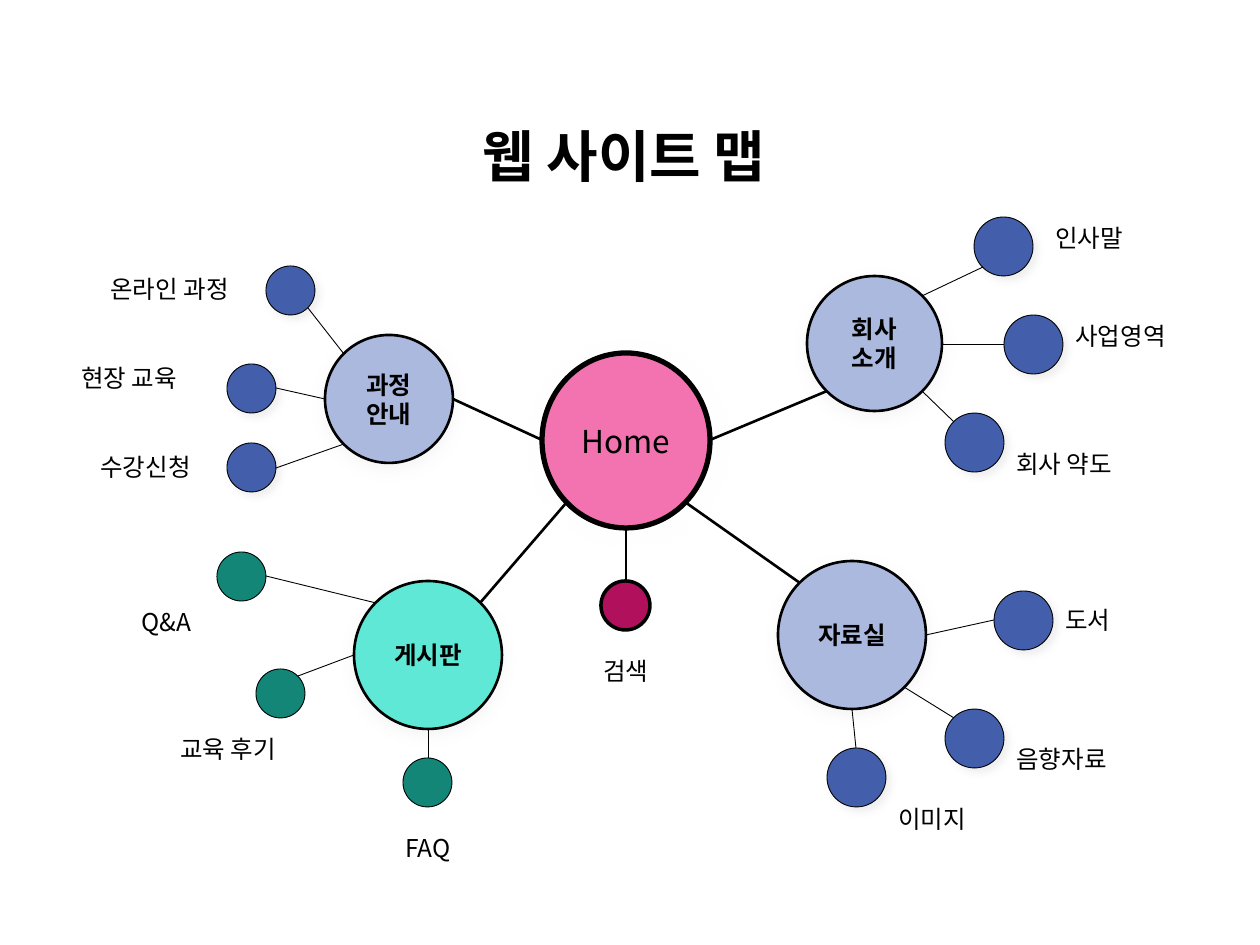
from dataclasses import dataclass
from enum import IntEnum
from math import cos, radians, sin

from lxml.etree import SubElement
from pptx import Presentation
from pptx.dml.color import RGBColor
from pptx.enum.shapes import MSO_CONNECTOR, MSO_SHAPE
from pptx.enum.text import MSO_ANCHOR, PP_ALIGN
from pptx.oxml.ns import qn
from pptx.util import Emu, Pt

EMU_PER_PX = 914400 / 126
FONT = "Noto Sans CJK KR"
BLACK = RGBColor(0x00, 0x00, 0x00)
WHITE = RGBColor(0xFF, 0xFF, 0xFF)
PINK = RGBColor(0xF2, 0x73, 0xAF)
CRIMSON = RGBColor(0xB0, 0x10, 0x5C)
LAVENDER = RGBColor(0xAB, 0xB9, 0xDE)
BLUE = RGBColor(0x43, 0x5E, 0xAA)
MINT = RGBColor(0x5F, 0xE8, 0xD6)
GREEN = RGBColor(0x13, 0x86, 0x77)
PALE_GREY = RGBColor(0xF2, 0xF2, 0xF2)
LIGHT_GREY = RGBColor(0xD9, 0xD9, 0xD9)
SMALL, LARGE = 49, 59
LABEL_WIDTH, LABEL_HEIGHT = 178, 43


class Site(IntEnum):
    """Angle on a circle's edge, clockwise from the right."""
    RIGHT = 0
    BOTTOM_RIGHT = 45
    BOTTOM = 90
    BOTTOM_LEFT = 135
    LEFT = 180
    TOP_LEFT = 225
    TOP = 270
    TOP_RIGHT = 315


@dataclass(frozen=True)
class Shadow:
    color: RGBColor
    opacity: int
    blur: int
    distance: int
    angle: int


HOME_SHADOW = Shadow(WHITE, 40, 10, 2, 45)
HUB_SHADOW = Shadow(PALE_GREY, 66, 7, 3, 90)
LEAF_SHADOW = Shadow(LIGHT_GREY, 40, 4, 3, 45)


@dataclass(frozen=True)
class Circle:
    left: int
    top: int
    width: int
    height: int
    fill: RGBColor
    line: float
    shadow: Shadow | None = None

    def point(self, site: Site) -> tuple[int, int]:
        angle = radians(site)
        return (round(self.left + self.width / 2 * (1 + cos(angle))),
                round(self.top + self.height / 2 * (1 + sin(angle))))


@dataclass(frozen=True)
class Leaf:
    label: str
    label_at: tuple[int, int]
    at: tuple[int, int]
    site: Site
    hub_site: Site


@dataclass(frozen=True)
class Hub:
    title: str
    at: tuple[int, int]
    size: int
    fill: RGBColor
    site: Site
    home_site: Site
    leaf_size: int
    leaf_fill: RGBColor
    leaf_shadow: Shadow | None
    leaves: tuple[Leaf, ...]


HOME = Circle(542, 353, 168, 175, PINK, 3, HOME_SHADOW)
SEARCH = Circle(601, 581, SMALL, SMALL, CRIMSON, 2)
HUBS = (
    Hub("과정\v안내", (325, 335), 128, LAVENDER, Site.RIGHT, Site.LEFT, SMALL, BLUE, LEAF_SHADOW, (
        Leaf("온라인 과정", (98, 268), (266, 266), Site.BOTTOM_RIGHT, Site.TOP_LEFT),
        Leaf("현장 교육", (69, 357), (227, 364), Site.RIGHT, Site.LEFT),
        Leaf("수강신청", (88, 446), (227, 443), Site.RIGHT, Site.BOTTOM_LEFT))),
    Hub("게시판", (354, 581), 148, MINT, Site.TOP_RIGHT, Site.BOTTOM_LEFT, SMALL, GREEN, None, (
        Leaf("Q&A", (129, 601), (217, 552), Site.RIGHT, Site.TOP_LEFT),
        Leaf("교육 후기", (168, 728), (256, 669), Site.TOP_RIGHT, Site.LEFT),
        Leaf("FAQ", (393, 827), (403, 758), Site.TOP, Site.BOTTOM))),
    Hub("회사\v소개", (807, 276), 135, LAVENDER, Site.BOTTOM_LEFT, Site.RIGHT, LARGE, BLUE, LEAF_SHADOW, (
        Leaf("인사말", (1043, 217), (974, 217), Site.BOTTOM_LEFT, Site.TOP_RIGHT),
        Leaf("사업영역", (1063, 315), (1004, 315), Site.LEFT, Site.RIGHT),
        Leaf("회사 약도", (1004, 443), (945, 413), Site.TOP_LEFT, Site.BOTTOM_RIGHT))),
    Hub("자료실", (778, 561), 148, LAVENDER, Site.TOP_LEFT, Site.BOTTOM_RIGHT, LARGE, BLUE, LEAF_SHADOW, (
        Leaf("도서", (1053, 599), (994, 591), Site.LEFT, Site.RIGHT),
        Leaf("음향자료", (1004, 738), (945, 709), Site.TOP_LEFT, Site.BOTTOM_RIGHT),
        Leaf("이미지", (886, 798), (827, 748), Site.TOP, Site.BOTTOM))),
)


def px(length: int) -> Emu:
    return Emu(round(length * EMU_PER_PX))


def write_text(shape, text: str, size: int, bold: bool = False, align=PP_ALIGN.CENTER) -> None:
    para = shape.text_frame.paragraphs[0]
    para.text = text
    para.alignment = align
    para.font.size = Pt(size)
    para.font.bold = bold
    para.font.color.rgb = BLACK
    para.font.name = FONT
    defaults = para._p.get_or_add_pPr().get_or_add_defRPr()
    SubElement(defaults, qn("a:ea"), typeface=FONT)


def add_shadow(shape, shadow: Shadow) -> None:
    effects = shape._element.spPr.find(qn("a:effectLst"))
    outer = SubElement(effects, qn("a:outerShdw"), blurRad=str(Pt(shadow.blur)),
                       dist=str(Pt(shadow.distance)), dir=str(shadow.angle * 60000),
                       algn="ctr", rotWithShape="0")
    color = SubElement(outer, qn("a:srgbClr"), val=str(shadow.color))
    SubElement(color, qn("a:alpha"), val=str(shadow.opacity * 1000))


def draw_circle(page, circle: Circle, text: str = "", size: int = 14, bold: bool = True) -> None:
    shape = page.shapes.add_shape(MSO_SHAPE.OVAL, px(circle.left), px(circle.top),
                                  px(circle.width), px(circle.height))
    shape.fill.solid()
    shape.fill.fore_color.rgb = circle.fill
    shape.line.color.rgb = BLACK
    shape.line.width = Pt(circle.line)
    shape.shadow.inherit = False
    if circle.shadow:
        add_shadow(shape, circle.shadow)
    if text:
        shape.text_frame.word_wrap = False
        shape.text_frame.vertical_anchor = MSO_ANCHOR.MIDDLE
        write_text(shape, text, size, bold)


def draw_link(page, start: tuple[int, int], end: tuple[int, int], width: float) -> None:
    link = page.shapes.add_connector(MSO_CONNECTOR.STRAIGHT, *map(px, start + end))
    link.line.color.rgb = BLACK
    link.line.width = Pt(width)
    SubElement(link._element.spPr, qn("a:effectLst"))


def draw_label(page, text: str, at: tuple[int, int]) -> None:
    box = page.shapes.add_textbox(*map(px, at), px(LABEL_WIDTH), px(LABEL_HEIGHT))
    box.text_frame.word_wrap = True
    write_text(box, text, 14, align=PP_ALIGN.LEFT)


def draw_hub(page, hub: Hub) -> None:
    """Draw a hub, its link to Home, and its labelled leaves."""
    circle = Circle(*hub.at, hub.size, hub.size, hub.fill, 1.5, HUB_SHADOW)
    draw_circle(page, circle, hub.title)
    draw_link(page, circle.point(hub.site), HOME.point(hub.home_site), 1.5)
    for leaf in hub.leaves:
        dot = Circle(*leaf.at, hub.leaf_size, hub.leaf_size, hub.leaf_fill, 0.5, hub.leaf_shadow)
        draw_circle(page, dot)
        draw_link(page, dot.point(leaf.site), circle.point(leaf.hub_site), 0.5)
        draw_label(page, leaf.label, leaf.label_at)


def draw_title(page) -> None:
    box = page.shapes.add_textbox(px(393), px(115), px(462), px(81))
    box.fill.solid()
    box.fill.fore_color.rgb = WHITE
    box.text_frame.word_wrap = True
    write_text(box, "웹 사이트 맵", 32, bold=True)


def main() -> None:
    deck = Presentation()
    deck.slide_width, deck.slide_height = px(1260), px(945)
    page = deck.slides.add_slide(deck.slide_layouts[6])
    draw_circle(page, HOME, "Home", size=18, bold=False)
    for hub in HUBS:
        draw_hub(page, hub)
    draw_circle(page, SEARCH)
    draw_link(page, SEARCH.point(Site.TOP), HOME.point(Site.BOTTOM), 1.5)
    draw_label(page, "검색", (591, 650))
    draw_title(page)
    deck.save("out.pptx")


if __name__ == "__main__":
    main()
